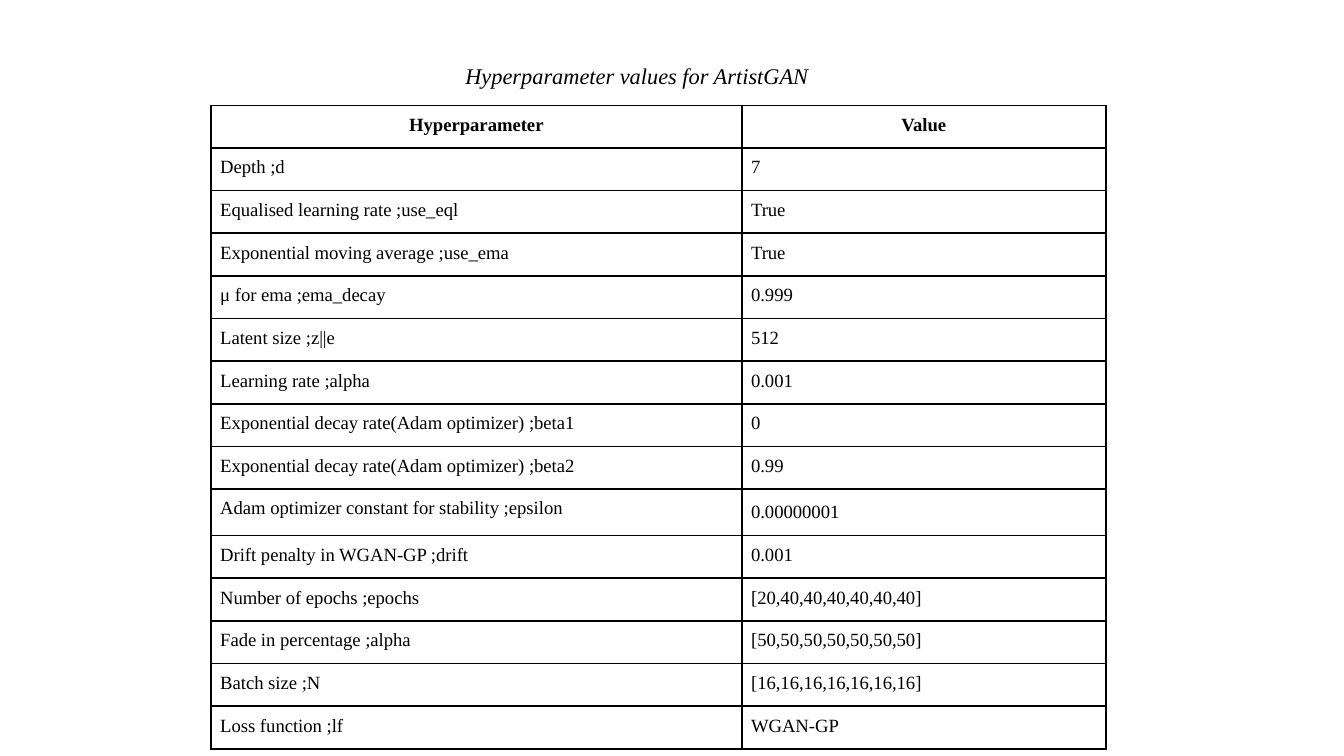
from dataclasses import dataclass

from lxml.etree import SubElement
from pptx import Presentation
from pptx.dml.color import RGBColor
from pptx.enum.text import MSO_ANCHOR, PP_ALIGN
from pptx.oxml.ns import qn
from pptx.util import Pt

TITLE = "Hyperparameter values for ArtistGAN"
HEAD = ("Hyperparameter", "Value")
ROWS = [
    ("Depth ;d", "7"),
    ("Equalised learning rate ;use_eql", "True"),
    ("Exponential moving average ;use_ema", "True"),
    ("μ for ema ;ema_decay", "0.999"),
    ("Latent size ;z||e", "512"),
    ("Learning rate ;alpha", "0.001"),
    ("Exponential decay rate(Adam optimizer) ;beta1", "0"),
    ("Exponential decay rate(Adam optimizer) ;beta2", "0.99"),
    ("Adam optimizer constant for stability ;epsilon", "0.00000001"),
    ("Drift penalty in WGAN-GP ;drift", "0.001"),
    ("Number of epochs ;epochs", "[20,40,40,40,40,40,40]"),
    ("Fade in percentage ;alpha", "[50,50,50,50,50,50,50]"),
    ("Batch size ;N", "[16,16,16,16,16,16,16]"),
    ("Loss function ;lf", "WGAN-GP"),
]
LOOSE = "0.00000001"


@dataclass(frozen=True)
class Theme:
    font: str = "Times New Roman"
    ink: str = "000000"
    paper: str = "FFFFFF"
    title: float = 12
    body: float = 10
    rule: float = 1
    lead: float = 1.15


theme = Theme()
LEFT, TOP = 113, 56.4
COLS = (284.4, 195.1)
HIGH, TALL = 22.87, 24.9
PAD = 5


def write(frame, text, size=theme.body, bold=False, italic=False,
          align=PP_ALIGN.LEFT, lead=None):
    para = frame.paragraphs[0]
    para.alignment = align
    if lead:
        para.line_spacing = lead
    run = para.add_run()
    run.text = text
    font = run.font
    font.name, font.size = theme.font, Pt(size)
    font.bold, font.italic = bold, italic
    font.color.rgb = RGBColor.from_string(theme.ink)


def inset(item, pad):
    item.margin_left = item.margin_right = Pt(pad)
    item.margin_top = item.margin_bottom = Pt(pad)
    item.vertical_anchor = MSO_ANCHOR.TOP


def border(cell):
    props = cell._tc.get_or_add_tcPr()
    for tag in ("a:lnL", "a:lnR", "a:lnT", "a:lnB"):
        line = SubElement(props, qn(tag), w=str(Pt(theme.rule)))
        fill = SubElement(line, qn("a:solidFill"))
        SubElement(fill, qn("a:srgbClr"), val=theme.ink)


def add_title(slide):
    box = slide.shapes.add_textbox(Pt(111.6), Pt(25.2), Pt(459.4), Pt(13))
    frame = box.text_frame
    frame.word_wrap = True
    inset(frame, 7.2)
    write(frame, TITLE, size=theme.title, italic=True,
          align=PP_ALIGN.CENTER, lead=theme.lead)


def add_grid(slide):
    data = [HEAD, *ROWS]
    highs = [TALL if LOOSE in row else HIGH for row in data]
    grid = slide.shapes.add_table(
        len(data), len(COLS), Pt(LEFT), Pt(TOP), Pt(sum(COLS)), Pt(sum(highs))
    ).table
    grid.horz_banding = False
    for col, width in zip(grid.columns, COLS):
        col.width = Pt(width)
    for r, (row, high) in enumerate(zip(data, highs)):
        grid.rows[r].height = Pt(high)
        for c, text in enumerate(row):
            cell = grid.cell(r, c)
            inset(cell, PAD)
            border(cell)
            cell.fill.background()
            write(cell.text_frame, text, bold=r == 0,
                  align=PP_ALIGN.LEFT if r else PP_ALIGN.CENTER,
                  lead=theme.lead if text == LOOSE else None)


def main():
    deck = Presentation()
    deck.slide_width, deck.slide_height = Pt(720), Pt(405)
    slide = deck.slides.add_slide(deck.slide_layouts[6])
    fill = slide.background.fill
    fill.solid()
    fill.fore_color.rgb = RGBColor.from_string(theme.paper)
    add_grid(slide)
    add_title(slide)
    deck.save("out.pptx")


if __name__ == "__main__":
    main()
